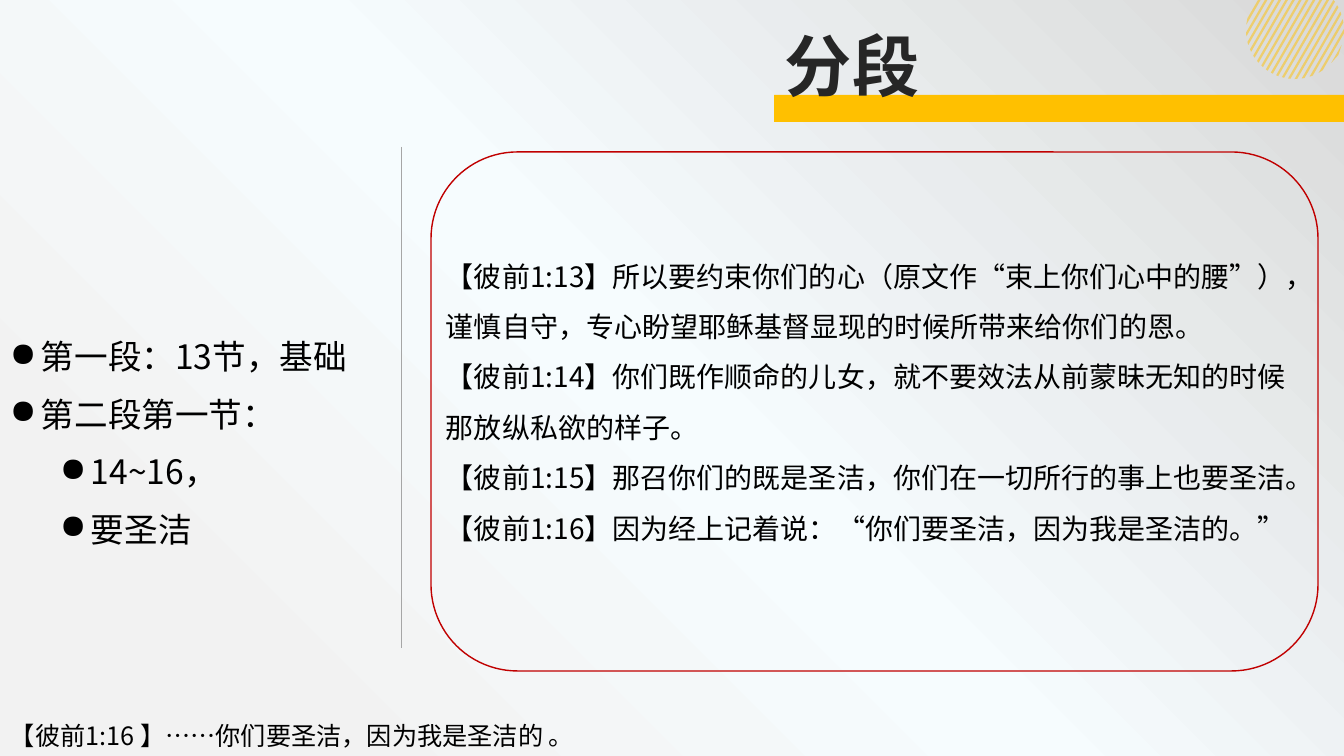
import math

import pptx
import pptx.dml.color
import pptx.enum.lang
import pptx.enum.shapes
import pptx.enum.text
import pptx.oxml
import pptx.oxml.ns
import pptx.util

EMU_PER_PX = 914400 / 100.8
AMBER = pptx.dml.color.RGBColor(0xFF, 0xC0, 0x00)
CHARCOAL = pptx.dml.color.RGBColor(0x26, 0x26, 0x26)
BLACK = pptx.dml.color.RGBColor(0x00, 0x00, 0x00)
CRIMSON = pptx.dml.color.RGBColor(0xC0, 0x00, 0x00)
GREY = pptx.dml.color.RGBColor(0xA6, 0xA6, 0xA6)
CJK_FONT = "Noto Sans CJK SC"
GROW = pptx.enum.text.MSO_AUTO_SIZE.SHAPE_TO_FIT_TEXT
SHAPES = pptx.enum.shapes.MSO_SHAPE

OUTLINE = [("第一段：13节，基础", 0), ("第二段第一节：", 0), ("14~16，", 1), ("要圣洁", 1)]
VERSES = [
    ("【彼前1:13】所以要约束你们的心（原文作“束上你们心中的腰”），"
     "谨慎自守，专心盼望耶稣基督显现的时候所带来给你们的恩。", 0),
    ("【彼前1:14】你们既作顺命的儿女，就不要效法从前蒙昧无知的时候那放纵私欲的样子。", 0),
    ("【彼前1:15】那召你们的既是圣洁，你们在一切所行的事上也要圣洁。", 0),
    ("【彼前1:16】因为经上记着说：“你们要圣洁，因为我是圣洁的。”", 0),
]
GRADIENT = """<a:gradFill %s rotWithShape="1"><a:gsLst>
<a:gs pos="15000"><a:srgbClr val="F2F2F2"/></a:gs>
<a:gs pos="50000"><a:srgbClr val="F6FCFE"><a:alpha val="27000"/></a:srgbClr></a:gs>
<a:gs pos="100000"><a:srgbClr val="D9D9D9"/></a:gs></a:gsLst>
<a:path path="circle"><a:fillToRect t="100000" r="100000"/></a:path></a:gradFill>"""


def px(length):
    """Turn pixels into EMU."""
    return pptx.util.Emu(round(length * EMU_PER_PX))


def apply(target, values):
    """Set each named attribute on the target."""
    for name, value in values.items():
        setattr(target, name, value)


def add_child(parent, tag, **attributes):
    """Append a drawing element to the parent and return it."""
    child = parent.makeelement(pptx.oxml.ns.qn(tag), attributes)
    parent.append(child)
    return child


def paint_background(slide):
    """Fill the background with a soft radial gradient."""
    slide.background.fill.gradient()
    plain = slide.element.find(".//" + pptx.oxml.ns.qn("a:gradFill"))
    radial = pptx.oxml.parse_xml(GRADIENT % pptx.oxml.ns.nsdecls("a"))
    plain.getparent().replace(plain, radial)


def chord(start, centre_x, centre_y, radius):
    """Return the ends of a slanted line inside the circle and below the slide top."""
    slope = math.tan(math.radians(30))
    offset = (centre_x + centre_y * slope - start) * math.cos(math.radians(30))
    half = math.sqrt(max(radius ** 2 - offset ** 2, 0)) * math.cos(math.radians(30))
    middle = centre_y - offset / 2
    ends = (max(middle - half, 0), max(middle + half, 0))
    return [(px(start - y * slope), px(y)) for y in ends]


def add_striped_disc(slide, centre_x, centre_y, radius):
    """Draw the disc of translucent slanted stripes."""
    for index in range(17):
        start = 1258 + 6.85 * index
        upper, lower = chord(start, centre_x, centre_y, radius)
        right_upper, right_lower = chord(start + 2.6, centre_x, centre_y, radius)
        outline = slide.shapes.build_freeform(*upper)
        outline.add_line_segments([right_upper, right_lower, lower])
        stripe = outline.convert_to_shape()
        stripe.shadow.inherit = False
        stripe.fill.solid()
        stripe.fill.fore_color.rgb = AMBER
        stripe.line.fill.background()
        colour = stripe.element.spPr.find(".//" + pptx.oxml.ns.qn("a:srgbClr"))
        add_child(colour, "a:alpha", val="50000")


def add_panel(slide, kind, box, fill=None, line=None):
    """Add a preset shape with an optional fill and outline."""
    panel = slide.shapes.add_shape(kind, *map(px, box))
    panel.shadow.inherit = False
    if fill is None:
        panel.fill.background()
    else:
        panel.fill.solid()
        panel.fill.fore_color.rgb = fill
    if line is None:
        panel.line.fill.background()
    else:
        panel.line.color.rgb = line
        panel.line.width = pptx.util.Pt(1)


def add_divider(slide, x, top, bottom):
    """Add a thin vertical rule."""
    divider = slide.shapes.add_connector(
        pptx.enum.shapes.MSO_CONNECTOR.STRAIGHT, px(x), px(top), px(x), px(bottom))
    divider.line.color.rgb = GREY
    divider.line.width = pptx.util.Pt(0.5)
    add_child(divider.element.spPr, "a:effectLst")


def add_text(slide, box, lines, size, frame=None, spacing=None,
             bullet=False, colour=BLACK, face=CJK_FONT, bold=False):
    """Add a text box with one paragraph for each line and level."""
    body = slide.shapes.add_textbox(*map(px, box)).text_frame
    apply(body, {"word_wrap": True, "auto_size": GROW, **(frame or {})})
    for index, (words, level) in enumerate(lines):
        paragraph = body.paragraphs[0] if index == 0 else body.add_paragraph()
        apply(paragraph, {"level": level, **(spacing or {})})
        if bullet:
            properties = paragraph._p.get_or_add_pPr()
            properties.set("marL", str(px(31 + 50 * level)))
            properties.set("indent", str(-px(31)))
            add_child(properties, "a:buChar", char="●")
        run = paragraph.add_run()
        run.text = words
        apply(run.font, {"size": pptx.util.Pt(size), "name": face, "bold": bold,
                         "language_id": pptx.enum.lang.MSO_LANGUAGE_ID.SIMPLIFIED_CHINESE})
        run.font.color.rgb = colour
        add_child(run.font._element, "a:ea", typeface=CJK_FONT)


def main():
    """Build the slide and save it."""
    deck = pptx.Presentation()
    apply(deck, {"slide_width": px(1344), "slide_height": px(756)})
    slide = deck.slides.add_slide(deck.slide_layouts[6])
    paint_background(slide)
    add_striped_disc(slide, 1295, 30, 49)
    add_panel(slide, SHAPES.RECTANGLE, (774, 95, 570, 27), fill=AMBER)
    add_text(slide, (775, 19, 208, 92), [("分段", 0)], 48,
             colour=CHARCOAL, face="Arial", bold=True)
    add_text(slide, (0, 325, 449, 229), OUTLINE, 24, bullet=True,
             spacing={"line_spacing": 1.15, "space_after": pptx.util.Pt(8)})
    add_divider(slide, 401, 147, 648)
    add_panel(slide, SHAPES.ROUNDED_RECTANGLE, (431, 152, 887, 519), line=CRIMSON)
    add_text(slide, (436, 201, 877, 385), VERSES, 20, spacing={"line_spacing": 1.5},
             frame={"auto_size": pptx.enum.text.MSO_AUTO_SIZE.NONE,
                    "vertical_anchor": pptx.enum.text.MSO_ANCHOR.MIDDLE,
                    "margin_top": px(10), "margin_bottom": px(10)})
    add_text(slide, (0, 715, 1335, 40),
             [("【彼前1:16 】……你们要圣洁，因为我是圣洁的 。", 0)], 18)
    deck.save("out.pptx")


if __name__ == "__main__":
    main()
